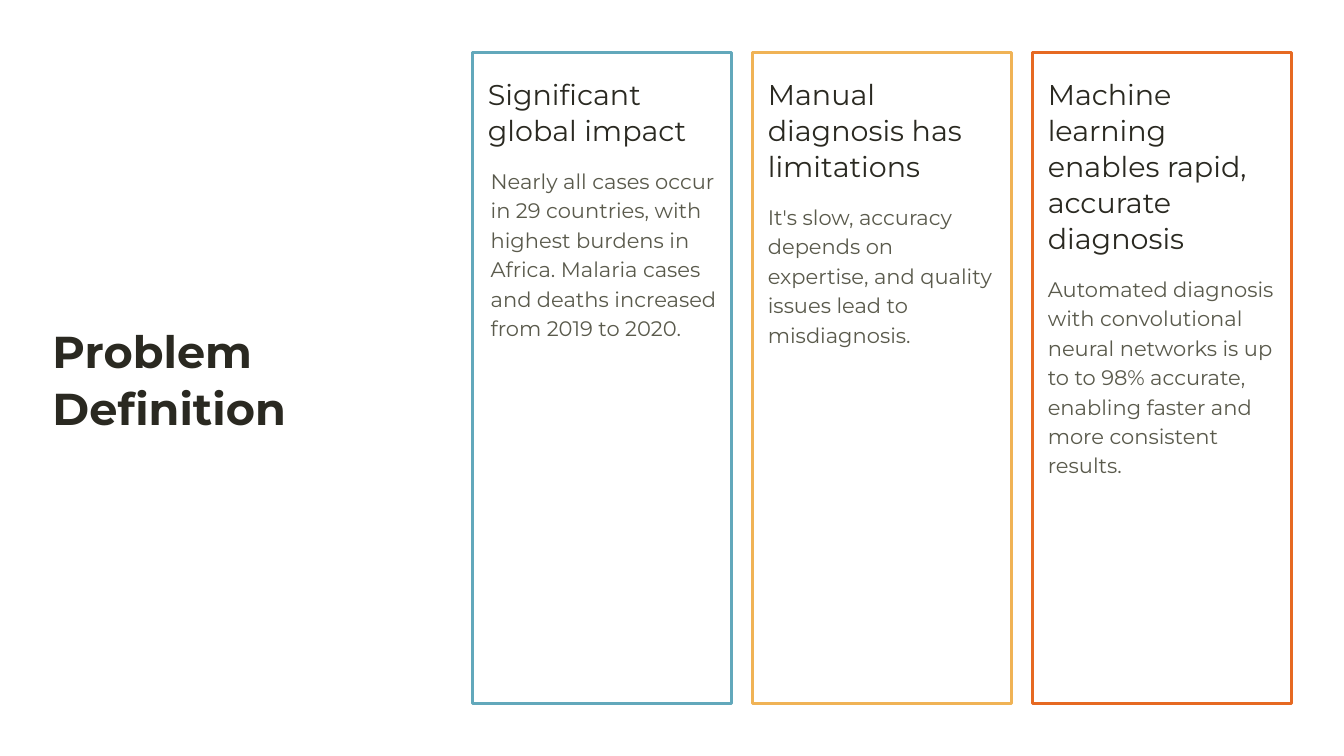
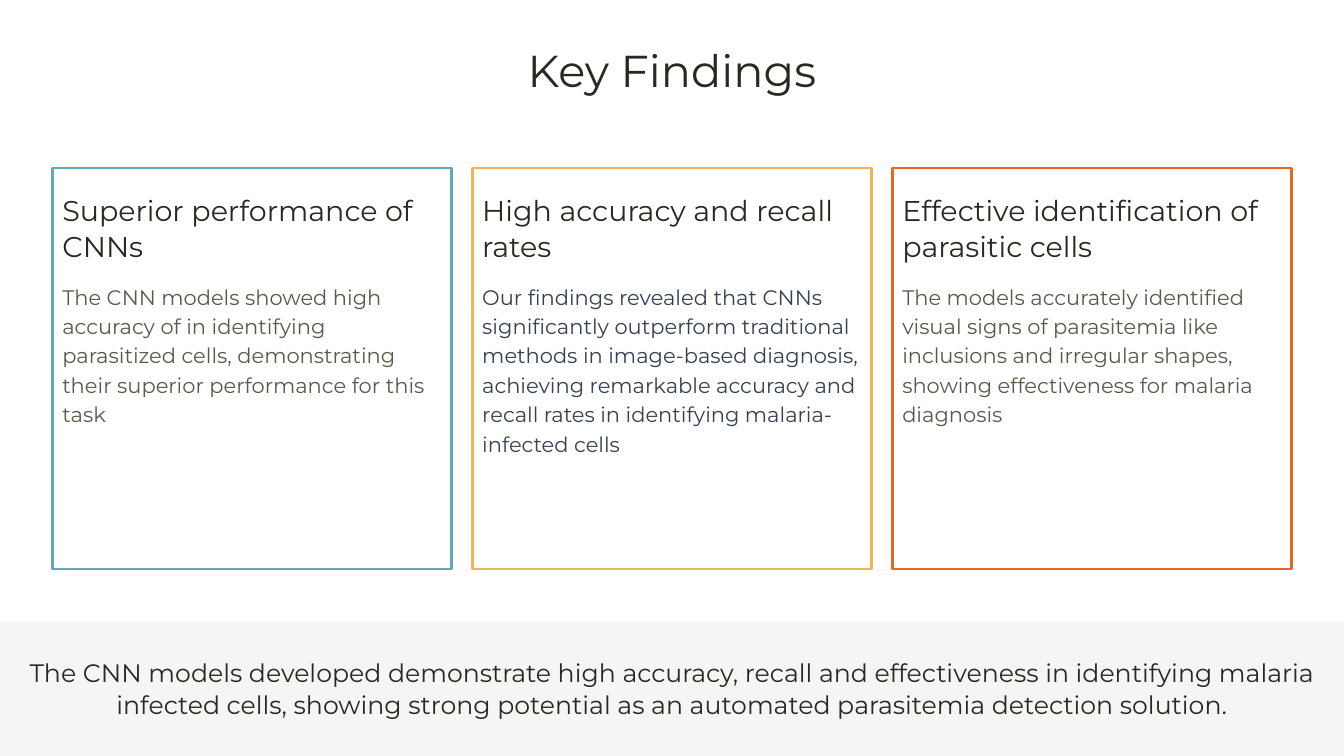
from pptx import Presentation
from pptx.dml.color import RGBColor as RGB
from pptx.enum.shapes import MSO_SHAPE as SHAPE
from pptx.enum.text import PP_ALIGN as ALIGN
from pptx.util import Pt

COLORS = {"ink": "2A2921", "body": "5A5A4C", "slate": "374151", "band": "F5F5F5",
          "teal": "62A8BB", "amber": "F0B356", "orange": "E66922"}
STYLES = {"title": (31.9, 40.2), "heading": (20.4, 25.7), "body": (15, 21), "summary": (18, 22.7)}
ACCENTS = ("teal", "amber", "orange")
WIDTH, HEIGHT, MARGIN, GAP = 960, 540, 37.5, 15


class Deck:
    """Holds the shared style and the slide being built."""

    def __init__(self):
        self.prs = Presentation()
        self.prs.slide_width, self.prs.slide_height = Pt(WIDTH), Pt(HEIGHT)

    def new_slide(self):
        self.s = self.prs.slides.add_slide(self.prs.slide_layouts[6])

    def text(self, text, style, x, y, w, lines, color="ink", align=ALIGN.LEFT, bold=False):
        size, leading = STYLES[style]
        tf = self.s.shapes.add_textbox(Pt(x), Pt(y), Pt(w), Pt(lines * leading)).text_frame
        tf.word_wrap = True
        tf.margin_left = tf.margin_top = tf.margin_right = tf.margin_bottom = 0
        p = tf.paragraphs[0]
        p.text, p.alignment, p.line_spacing = text, align, Pt(leading)
        p.font.name, p.font.size, p.font.bold = "Montserrat", Pt(size), bold
        p.font.color.rgb = RGB.from_string(COLORS[color])

    def rect(self, x, y, w, h, fill=None, line=None):
        sp = self.s.shapes.add_shape(SHAPE.RECTANGLE, Pt(x), Pt(y), Pt(w), Pt(h))
        sp.shadow.inherit = False
        if fill:
            sp.fill.solid()
            sp.fill.fore_color.rgb = RGB.from_string(COLORS[fill])
        else:
            sp.fill.background()
        if line:
            sp.line.color.rgb = RGB.from_string(COLORS[line])
            sp.line.width = Pt(2)
        else:
            sp.line.fill.background()

    def cards(self, items, x, y, w, h, inset):
        for i, (accent, item) in enumerate(zip(ACCENTS, items)):
            heading, heading_lines, body, body_lines, color, shift = item
            left, top = x + i * (w + GAP), y + 16.5
            self.rect(left, y, w, h, line=accent)
            self.text(heading, "heading", left + inset, top, w - 2 * inset, heading_lines)
            top += heading_lines * STYLES["heading"][1] + 12
            self.text(body, "body", left + inset + shift, top, w - 2 * inset, body_lines, color)


def main():
    deck = Deck()

    deck.new_slide()
    deck.text("Problem Definition", "title", MARGIN, 229.7, 191.5, 2, bold=True)
    deck.cards([
        ("Significant global impact", 2,
         "Nearly all cases occur in 29 countries, with highest burdens in Africa. "
         "Malaria cases and deaths increased from 2019 to 2020.", 6, "body", 2),
        ("Manual diagnosis has limitations", 3,
         "It's slow, accuracy depends on expertise, and quality issues lead to misdiagnosis.",
         5, "body", 0),
        ("Machine learning enables rapid, accurate diagnosis", 5,
         "Automated diagnosis with convolutional neural networks is up to to 98% accurate, "
         "enabling faster and more consistent results.", 7, "body", 0),
    ], 337.5, MARGIN, 185, 465, 11)

    deck.new_slide()
    deck.text("Key Findings", "title", 0, 28.8, WIDTH, 1, align=ALIGN.CENTER)
    deck.cards([
        ("Superior performance of CNNs", 2,
         "The CNN models showed high accuracy of in identifying parasitized cells, "
         "demonstrating their superior performance for this task", 5, "body", 0),
        ("High accuracy and recall rates", 2,
         "Our findings revealed that CNNs significantly outperform traditional methods in "
         "image-based diagnosis, achieving remarkable accuracy and recall rates in "
         "identifying malaria-infected cells", 6, "slate", 0),
        ("Effective identification of parasitic cells", 2,
         "The models accurately identified visual signs of parasitemia like inclusions and "
         "irregular shapes, showing effectiveness for malaria diagnosis", 5, "body", 0),
    ], MARGIN, 120, 285, 286.5, 7)
    deck.rect(0, 444, WIDTH, 96, fill="band")
    deck.text("The CNN models developed demonstrate high accuracy, recall and effectiveness in "
              "identifying malaria infected cells, showing strong potential as an automated "
              "parasitemia detection solution.", "summary", 0, 468.7, WIDTH, 2, align=ALIGN.CENTER)

    deck.prs.save("out.pptx")


if __name__ == "__main__":
    main()
